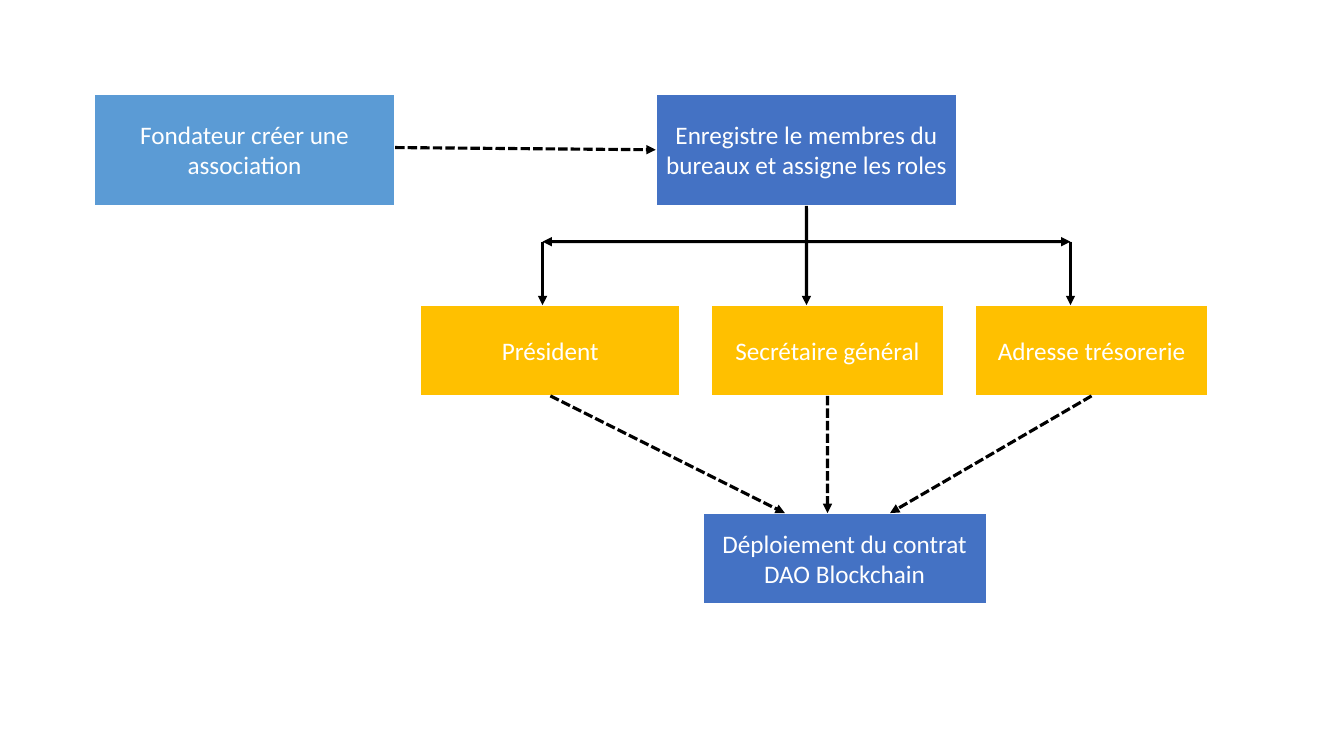
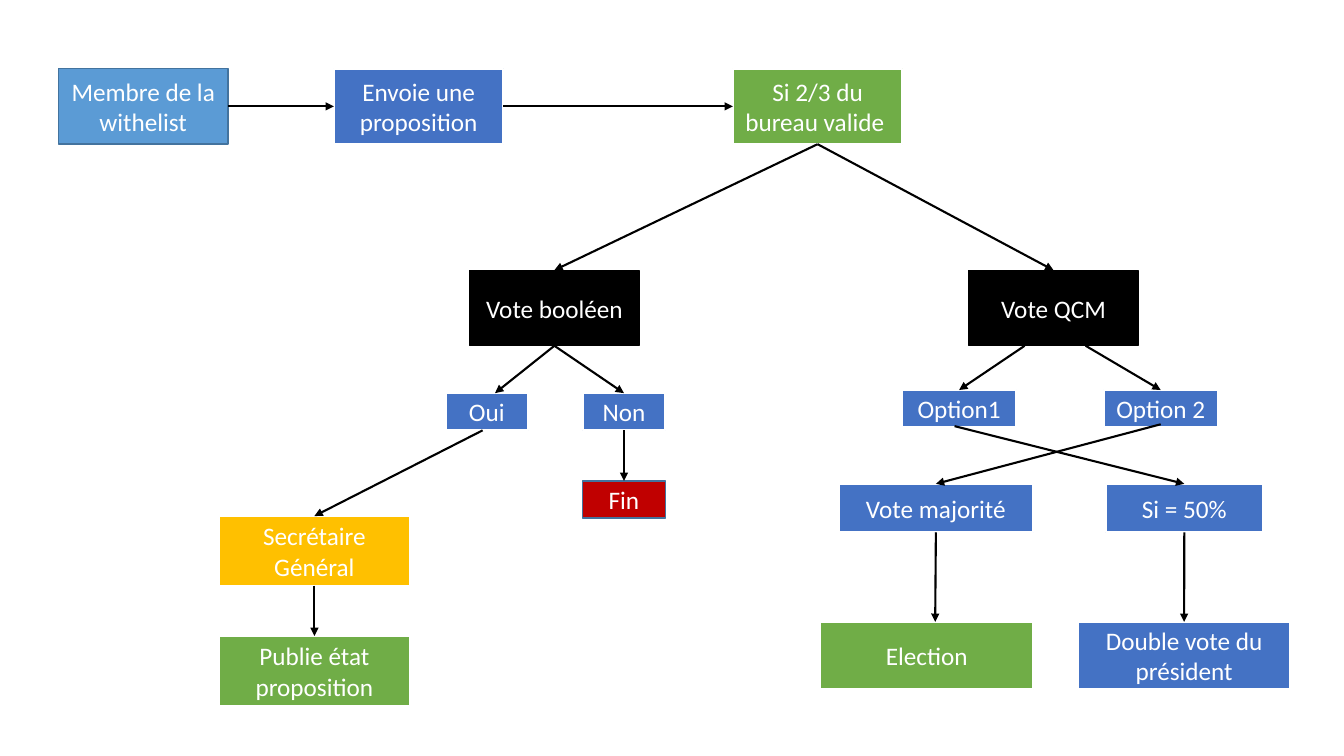
"""Two flow charts: founding an association and voting on a proposal."""
from dataclasses import dataclass

from lxml import etree
from pptx import Presentation
from pptx.dml.color import RGBColor
from pptx.enum import dml, shapes, text
from pptx.oxml.ns import qn
from pptx.util import Pt


@dataclass(frozen=True)
class Theme:
    sky: str = "5B9BD5"
    blue: str = "4472C4"
    gold: str = "FFC000"
    green: str = "70AD47"
    red: str = "C00000"
    black: str = "000000"
    white: str = "FFFFFF"
    edge: str = "43739E"
    font: str = "Calibri"
    size: float = 18
    thin: float = 1
    medium: float = 1.5
    thick: float = 2.25


T = Theme()
TOP, LEFT, BOTTOM, RIGHT = SITES = [(0.5, 0), (0, 0.5), (0.5, 1), (1, 0.5)]


def box(s, label, x, y, w, h, fill, line=T.white):
    """Draw a filled rectangle with a centred label."""
    sp = s.shapes.add_shape(shapes.MSO_SHAPE.RECTANGLE, Pt(x), Pt(y), Pt(w), Pt(h))
    sp.shadow.inherit = False
    sp.fill.solid()
    sp.fill.fore_color.rgb = RGBColor.from_string(fill)
    sp.line.color.rgb = RGBColor.from_string(line)
    sp.line.width = Pt(T.medium if line == T.white else T.thin)
    tf = sp.text_frame
    tf.word_wrap = True
    tf.vertical_anchor = text.MSO_ANCHOR.MIDDLE
    p = tf.paragraphs[0]
    p.alignment = text.PP_ALIGN.CENTER
    r = p.add_run()
    r.text = label
    r.font.name = T.font
    r.font.size = Pt(T.size)
    r.font.color.rgb = RGBColor.from_string(T.white)
    return sp


def arrow(s, a, start, b, end, width, dashed=False):
    """Draw an arrow between two boxes; ends are fractions of box width and height."""
    points = [int(v) for sp, (fx, fy) in ((a, start), (b, end))
              for v in (sp.left + fx * sp.width, sp.top + fy * sp.height)]
    c = s.shapes.add_connector(shapes.MSO_CONNECTOR.STRAIGHT, *points)
    if start in SITES:
        c.begin_connect(a, SITES.index(start))
    if end in SITES:
        c.end_connect(b, SITES.index(end))
    c.line.color.rgb = RGBColor.from_string(T.black)
    c.line.width = Pt(width)
    if dashed:
        c.line.dash_style = dml.MSO_LINE.SQUARE_DOT
    props = c.element.spPr
    etree.SubElement(props.find(qn("a:ln")), qn("a:tailEnd"), type="triangle")
    etree.SubElement(props, qn("a:effectLst"))


prs = Presentation()
prs.slide_width, prs.slide_height = Pt(960), Pt(540)
blank = prs.slide_layouts[6]

s = prs.slides.add_slide(blank)
founder = box(s, "Fondateur créer une association", 67, 67, 215.3, 80, T.sky)
register = box(s, "Enregistre le membres du bureaux et assigne les roles ",
               468.4, 67, 215.3, 80, T.blue)
president, secretary, treasury = [
    box(s, label, x, 218, w, 64.8, T.gold) for label, x, w in (
        ("Président", 300.2, 185.8),
        ("Secrétaire général", 507.6, 167),
        ("Adresse trésorerie", 696.2, 167))]
contract = box(s, "Déploiement du contrat DAO Blockchain", 501.8, 366.5, 203, 64.8, T.blue)

for role, x in ((president, 0.47), (treasury, 0.41)):
    arrow(s, register, (0.5, 1.32), role, (x, -0.7), T.thick)
    arrow(s, role, (x, -0.7), role, (x, 0), T.thick)
arrow(s, register, BOTTOM, secretary, (0.41, 0), T.thick)
for role, x in ((president, 0.29), (treasury, 0.66), (secretary, 0.44)):
    arrow(s, role, BOTTOM, contract, (x, 0), T.thick, dashed=True)
arrow(s, founder, (1, 0.48), register, LEFT, T.thick, dashed=True)

s = prs.slides.add_slide(blank)
member, proposal, board, boolean, choice = [
    box(s, label, x, y, 121, 54, fill, line) for label, x, y, fill, line in (
        ("Membre de la withelist", 41.8, 49, T.sky, T.edge),
        ("Envoie une proposition", 238.5, 49, T.blue, T.white),
        ("Si 2/3 du bureau valide ", 523.5, 49, T.green, T.white),
        ("Vote booléen", 335.5, 193, T.black, T.black),
        ("Vote QCM", 692, 193, T.black, T.black))]
yes, no, end = [
    box(s, label, x, y, 59, 26.6, fill, line) for label, x, y, fill, line in (
        ("Oui", 318.2, 280.8, T.blue, T.white),
        ("Non", 416.2, 280.8, T.blue, T.white),
        ("Fin", 416.2, 343.5, T.red, T.edge))]
option1, option2 = [
    box(s, label, x, 278.6, 81.4, 26.6, T.blue)
    for label, x in (("Option1", 644.4), ("Option 2", 788.4))]
general, publish = [
    box(s, label, 156.2, y, 136.8, 49.7, fill) for label, y, fill in (
        ("Secrétaire Général", 368.6, T.gold),
        ("Publie état proposition", 454.3, T.green))]
majority, tie = [
    box(s, label, x, 345.6, w, 34.6, T.blue)
    for label, x, w in (("Vote majorité", 599, 139), ("Si = 50%", 789.8, 112.3))]
election, double = [
    box(s, label, x, 444.2, 151.9, 48.2, fill) for label, x, fill in (
        ("Election", 586, T.green),
        ("Double vote du président", 769.9, T.blue))]

for a, start, b, finish in (
        (member, RIGHT, proposal, LEFT),
        (proposal, RIGHT, board, LEFT),
        (board, BOTTOM, boolean, TOP),
        (board, BOTTOM, choice, TOP),
        (boolean, BOTTOM, yes, (0.6, 0)),
        (boolean, BOTTOM, no, TOP),
        (yes, (0.45, 1), general, TOP),
        (general, BOTTOM, publish, TOP),
        (no, BOTTOM, end, TOP),
        (choice, (0.33, 1), option1, TOP),
        (choice, (0.69, 1), option2, TOP),
        (option1, (0.46, 0.97), tie, TOP),
        (option2, (0.5, 0.92), majority, TOP),
        (majority, BOTTOM, election, (0.54, 0)),
        (tie, BOTTOM, double, TOP)):
    arrow(s, a, start, b, finish, T.medium)

prs.save("out.pptx")
